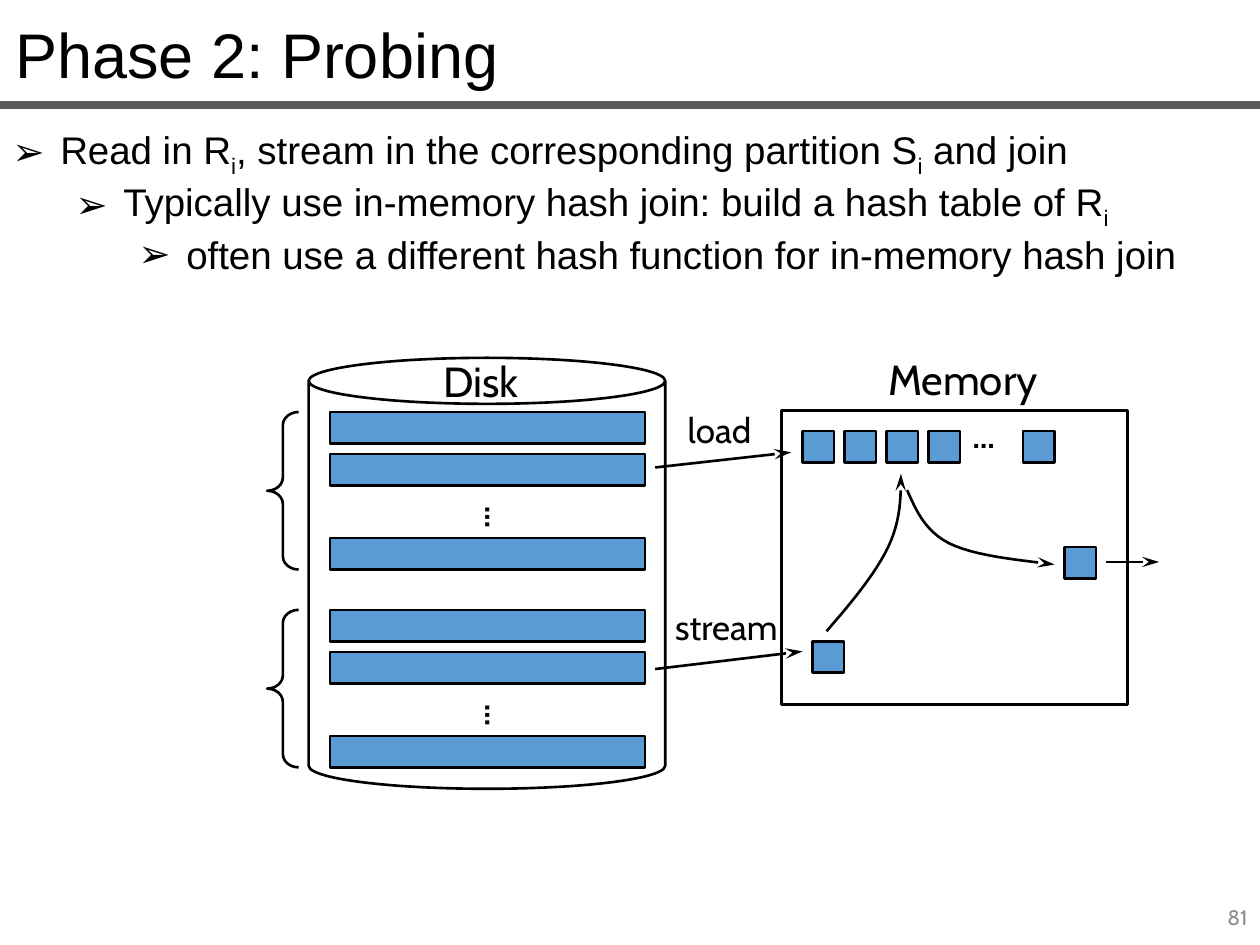
import pptx
import pptx.dml.color
import pptx.enum.shapes
import pptx.enum.text
import pptx.oxml
import pptx.oxml.ns
import pptx.util
from pptx.util import Inches

SHAPES = pptx.enum.shapes.MSO_SHAPE
ALIGN = pptx.enum.text.PP_ALIGN
ANCHOR = pptx.enum.text.MSO_ANCHOR
BLACK, BLUE, GRAY, PAGE_GRAY = "000000", "5B9BD5", "595959", "8C8C8C"
BLOCK = 0.25
PITCH = 1 / 3


def colour(hex_string):
    return pptx.dml.color.RGBColor.from_string(hex_string)


def add_element(parent, tag, **attributes):
    child = pptx.oxml.parse_xml(f"<{tag} {pptx.oxml.ns.nsdecls('a')}/>")
    for name, value in attributes.items():
        child.set(name, str(value))
    parent.append(child)


def style_span(span, size, font="Arial", color=BLACK, bold=False):
    span.font.size = pptx.util.Pt(size)
    span.font.name = font
    span.font.bold = bold
    span.font.color.rgb = colour(color)


def add_label(page, text, left, top, width, height, size=18, color=BLACK, bold=False,
              align=ALIGN.LEFT, anchor=ANCHOR.TOP, rotation=0):
    box = page.shapes.add_textbox(Inches(left), Inches(top), Inches(width), Inches(height))
    box.rotation = rotation
    box.text_frame.word_wrap = False
    box.text_frame.vertical_anchor = anchor
    para = box.text_frame.paragraphs[0]
    para.alignment = align
    span = para.add_run()
    span.text = text
    style_span(span, size, "Cabin", color, bold)


def add_outlined(page, kind, left, top, width, height, fill=None, adjustments=()):
    shape = page.shapes.add_shape(kind, Inches(left), Inches(top), Inches(width), Inches(height))
    for index, value in enumerate(adjustments):
        shape.adjustments[index] = value
    shape.shadow.inherit = False
    if fill:
        shape.fill.solid()
        shape.fill.fore_color.rgb = colour(fill)
    else:
        shape.fill.background()
    style_line(shape)


def add_block(page, left, top, width=BLOCK):
    add_outlined(page, SHAPES.RECTANGLE, left, top, width, BLOCK, BLUE)


def style_line(shape, color=BLACK, width=1.5, arrow=False):
    shape.line.color.rgb = colour(color)
    shape.line.width = pptx.util.Pt(width)
    if arrow:
        outline = shape.element.spPr.find(pptx.oxml.ns.qn("a:ln"))
        add_element(outline, "a:tailEnd", type="stealth", len="lg")


def add_straight(page, start, end, **line_format):
    line = page.shapes.add_connector(pptx.enum.shapes.MSO_CONNECTOR.STRAIGHT,
                                     *map(Inches, (*start, *end)))
    style_line(line, **line_format)
    add_element(line.element.spPr, "a:effectLst")


def add_curve(page, start, *segments, steps=12):
    """Draw an arrow along cubic segments, each two control points and an end."""
    points, origin = [], start
    for first, second, end in segments:
        for step in range(1, steps + 1):
            t = step / steps
            weights = ((1 - t) ** 3, 3 * t * (1 - t) ** 2, 3 * t ** 2 * (1 - t), t ** 3)
            corners = (origin, first, second, end)
            points.append(tuple(Inches(sum(w * c[axis] for w, c in zip(weights, corners)))
                                for axis in (0, 1)))
        origin = end
    builder = page.shapes.build_freeform(*map(Inches, start))
    builder.add_line_segments(points, close=False)
    curve = builder.convert_to_shape()
    curve.shadow.inherit = False
    curve.fill.background()
    style_line(curve, arrow=True)


def add_heading(page, left, top, width, height):
    title = page.shapes.title
    title.left, title.top, title.width, title.height = map(Inches, (left, top, width, height))
    frame = title.text_frame
    frame.vertical_anchor = ANCHOR.TOP
    para = frame.paragraphs[0]
    para.alignment = ALIGN.LEFT
    span = para.add_run()
    span.text = "Phase 2: Probing"
    style_span(span, 36)
    add_straight(page, (0, 0.83), (10, 0.83), color=GRAY, width=4.5)


def add_bullets(page, left, top, width, height):
    """Write one bullet per level; every second piece of a line is a subscript."""
    lines = (
        ("Read in R", "i", ", stream in the corresponding partition S", "i", " and join"),
        ("Typically use in-memory hash join: build a hash table of R", "i"),
        ("often use a different hash function for in-memory hash join",),
    )
    box = page.shapes.add_textbox(Inches(left), Inches(top), Inches(width), Inches(height))
    frame = box.text_frame
    frame.word_wrap = True
    for level, pieces in enumerate(lines):
        para = frame.add_paragraph() if level else frame.paragraphs[0]
        para.level = level
        properties = para._p.get_or_add_pPr()
        properties.set("marL", str(Inches(0.38 + 0.5 * level)))
        properties.set("indent", str(Inches(-0.38)))
        add_element(properties, "a:buFont", typeface="Arial")
        add_element(properties, "a:buChar", char="➢")
        for index, piece in enumerate(pieces):
            span = para.add_run()
            span.text = piece
            style_span(span, 22)
            if index % 2:
                span.font._element.set("baseline", "-25000")


def add_partitions(page, left, top):
    """Stack the blocks of one relation, with a brace on their left."""
    for row in (0, 1, 3):
        add_block(page, left, top + row * PITCH, 2.5)
    add_label(page, "…", left + 0.94, top + 0.6, 0.45, 0.4, bold=True, rotation=270)
    add_outlined(page, SHAPES.LEFT_BRACE, left - 0.5, top, 0.25, 1.25, adjustments=(0.417, 0.5))


def add_disk(page, left, top, width, height):
    add_outlined(page, SHAPES.CAN, left, top, width, height, adjustments=(0.129,))
    add_label(page, "Disk", left + 0.97, top - 0.07, 0.8, 0.5, size=24)
    for offset in (0.43, 2):
        add_partitions(page, left + 0.17, top + offset)


def add_memory(page, left, top, width, height):
    add_outlined(page, SHAPES.RECTANGLE, left, top, width, height)
    add_label(page, "Memory", left + 0.75, top - 0.5, 1.4, 0.51, size=24)
    for column in range(4):
        add_block(page, left + 0.17 + column * PITCH, top + 0.16)
    add_label(page, "…", left + 1.42, top, 0.45, 0.4, bold=True)
    for x, y in ((1.92, 0.16), (2.25, 1.08), (0.25, 1.83)):
        add_block(page, left + x, top + y)

    def at(x, y):
        return left + x, top + y

    add_curve(page, at(0.36, 1.75),
              (at(0.56, 1.52), at(0.75, 1.29), at(0.85, 1.08)),
              (at(0.95, 0.87), at(0.95, 0.68), at(0.95, 0.5)))
    add_curve(page, at(1, 0.63),
              (at(1.07, 0.79), at(1.14, 0.95), at(1.33, 1.05)),
              (at(1.53, 1.15), at(1.85, 1.18), at(2.17, 1.22)))
    add_straight(page, at(2.58, 1.2), at(3, 1.2), arrow=True)


def add_transfers(page):
    add_straight(page, (5.2, 3.71), (6.28, 3.59), arrow=True)
    add_straight(page, (5.2, 5.31), (6.37, 5.17), arrow=True)
    add_label(page, "load", 5.36, 3.19, 0.72, 0.44, size=20)
    add_label(page, "stream", 5.26, 4.76, 1.03, 0.44, size=20)


def main():
    deck = pptx.Presentation()
    deck.slide_width, deck.slide_height = Inches(10), Inches(7.5)
    page = deck.slides.add_slide(deck.slide_layouts[5])
    add_heading(page, 0.02, 0.07, 9.89, 0.71)
    add_bullets(page, 0, 0.95, 9.91, 1.21)
    add_disk(page, 2.45, 2.84, 2.83, 3.42)
    add_memory(page, 6.2, 3.26, 2.75, 2.33)
    add_transfers(page)
    add_label(page, "81", 7.75, 7.08, 2.25, 0.4, size=12, color=PAGE_GRAY,
              align=ALIGN.RIGHT, anchor=ANCHOR.MIDDLE)
    deck.save("out.pptx")


if __name__ == "__main__":
    main()
